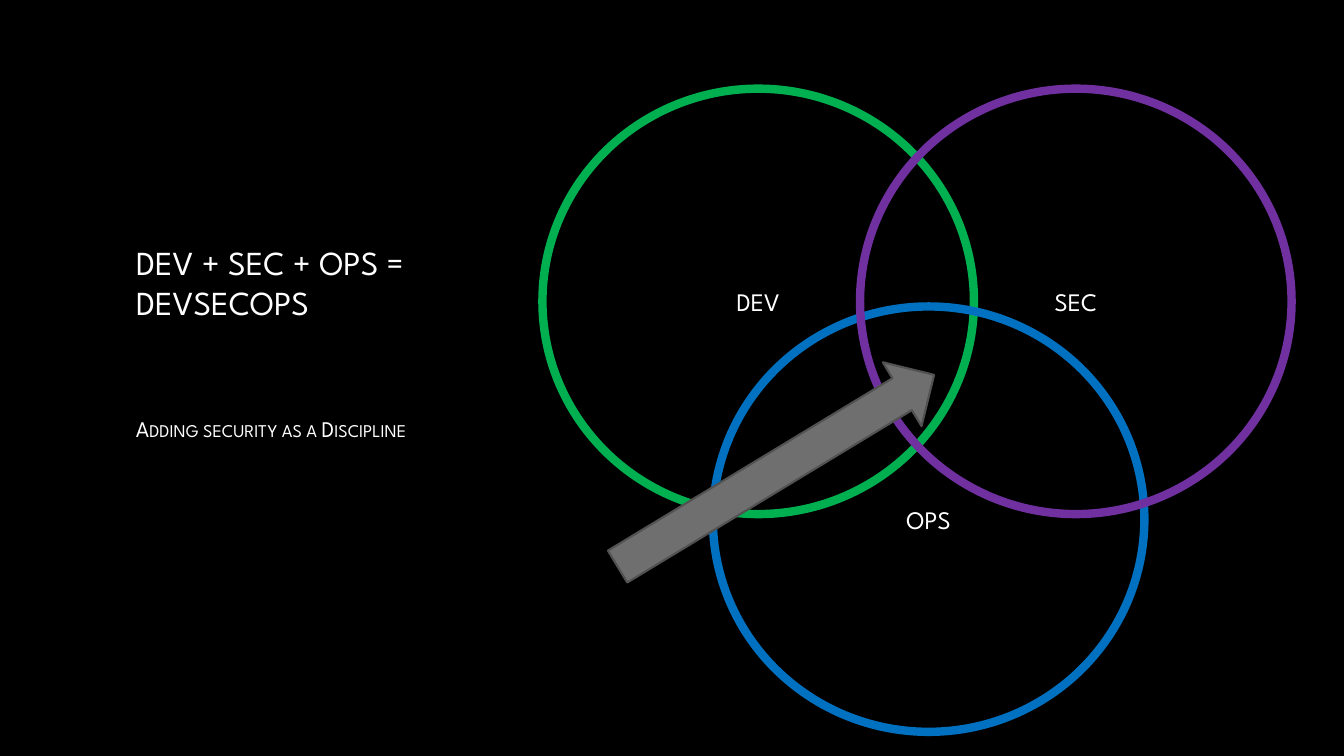
"""Build a slide with three overlapping circles for Dev, Sec and Ops."""
from pptx import Presentation
from pptx.dml.color import RGBColor
from pptx.enum.shapes import MSO_SHAPE
from pptx.enum.text import MSO_ANCHOR, MSO_AUTO_SIZE, PP_ALIGN
from pptx.util import Inches, Pt

FONT, WHITE, BLACK = "League Spartan", "FFFFFF", "000000"
TITLE = "DEV + SEC + OPS = DEVSECOPS"
SUBTITLE = "Adding security as a Discipline"
CIRCLES = [
    ("DEV", 5.38, 0.88, "00B050"),
    ("OPS", 7.07, 3.04, "0070C0"),
    ("SEC", 8.53, 0.88, "7030A0"),
]
CIRCLE_SIZE = (4.28, 4.22)
TEXT_LEFT, TEXT_WIDTH, TEXT_SPLIT = 1.25, 3.88, 3.25
TITLE_HEIGHT, SUBTITLE_HEIGHT = 1.5, 2
ARROW, ARROW_ANGLE = (5.86, 4.3, 3.67, 0.74), 328.8


def rgb(value):
    return RGBColor.from_string(value)


def box(*lengths):
    return [Inches(v) for v in lengths]


def write(sp, text, size, align, anchor):
    tf = sp.text_frame
    tf.text = text
    tf.word_wrap = True
    tf.auto_size = MSO_AUTO_SIZE.NONE
    tf.vertical_anchor = anchor
    p = tf.paragraphs[0]
    p.alignment = align
    r = p.runs[0]
    r.font.name, r.font.size = FONT, Pt(size)
    r.font.color.rgb = rgb(WHITE)
    return r


def add_outlined(slide, kind, bounds, color, width):
    sp = slide.shapes.add_shape(kind, *box(*bounds))
    sp.shadow.inherit = False
    sp.line.color.rgb = rgb(color)
    sp.line.width = Pt(width)
    return sp


def main():
    prs = Presentation()
    prs.slide_width, prs.slide_height = box(13.33, 7.5)
    slide = prs.slides.add_slide(prs.slide_layouts[5])
    slide.background.fill.solid()
    slide.background.fill.fore_color.rgb = rgb(BLACK)

    title = slide.shapes.title
    title.left, title.top, title.width, title.height = box(
        TEXT_LEFT, TEXT_SPLIT - TITLE_HEIGHT, TEXT_WIDTH, TITLE_HEIGHT)
    write(title, TITLE, 24, PP_ALIGN.LEFT, MSO_ANCHOR.BOTTOM)

    sp = slide.shapes.add_textbox(
        *box(TEXT_LEFT, TEXT_SPLIT, TEXT_WIDTH, SUBTITLE_HEIGHT))
    r = write(sp, SUBTITLE, 16, PP_ALIGN.LEFT, MSO_ANCHOR.MIDDLE)
    r.font._element.set("cap", "small")
    sp.text_frame.paragraphs[0].space_after = Pt(6)

    for label, left, top, color in CIRCLES:
        sp = add_outlined(slide, MSO_SHAPE.OVAL, (left, top, *CIRCLE_SIZE), color, 6)
        sp.fill.background()
        write(sp, label, 18, PP_ALIGN.CENTER, MSO_ANCHOR.MIDDLE)

    arrow = add_outlined(slide, MSO_SHAPE.RIGHT_ARROW, ARROW, "525252", 1.5)
    arrow.fill.solid()
    arrow.fill.fore_color.rgb = rgb("6F6F6F")
    arrow.rotation = ARROW_ANGLE

    prs.save("out.pptx")


if __name__ == "__main__":
    main()
